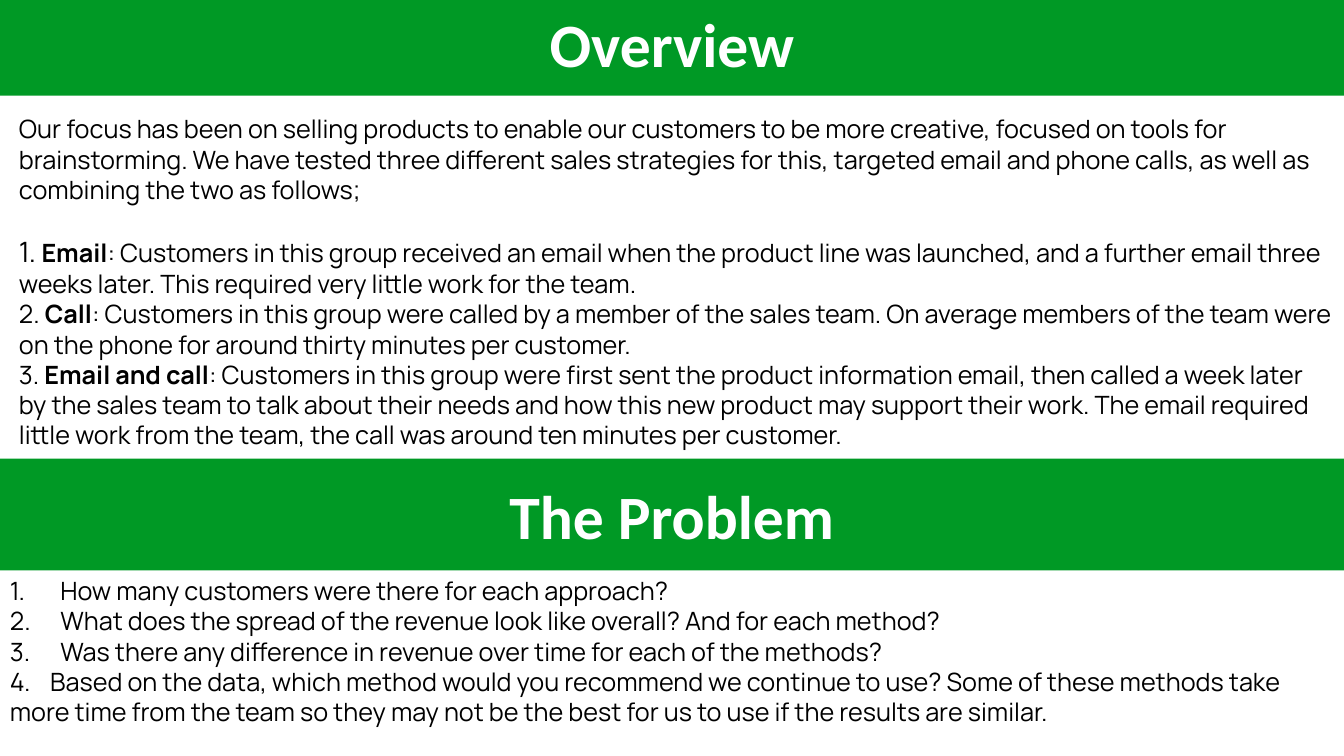
"""Build the overview and problem slide of a sales strategy report."""
from lxml import etree
from pptx import Presentation
from pptx.dml.color import RGBColor
from pptx.enum.shapes import MSO_SHAPE
from pptx.enum.text import MSO_ANCHOR, PP_ALIGN
from pptx.oxml.ns import qn
from pptx.util import Inches, Pt

RECT = MSO_SHAPE.RECTANGLE
MIDDLE = MSO_ANCHOR.MIDDLE
CENTER = PP_ALIGN.CENTER
GREEN = RGBColor(0x00, 0x99, 0x25)
WHITE = RGBColor(0xFF, 0xFF, 0xFF)
BLACK = RGBColor(0x00, 0x00, 0x00)
HEADING = {"name": "Calibri", "size": Pt(44), "bold": True}
BODY = {"name": "Manrope", "size": Pt(18), "bold": False}
STRONG = {**BODY, "bold": True}
LARGE = {**BODY, "size": Pt(20)}

INTRO = (
    "Our focus has been on selling products to enable our customers to be more "
    "creative, focused on tools for brainstorming. We have tested three different "
    "sales strategies for this, targeted email and phone calls, as well as "
    "combining the two as follows;"
)
STRATEGIES = [
    ("Email", "Customers in this group received an email when the product line was "
     "launched, and a further email three weeks later. This required very little "
     "work for the team."),
    ("Call", "Customers in this group were called by a member of the sales team. On "
     "average members of the team were on the phone for around thirty minutes per "
     "customer."),
    ("Email and call", "Customers in this group were first sent the product "
     "information email, then called a week later by the sales team to talk about "
     "their needs and how this new product may support their work. The email "
     "required little work from the team, the call was around ten minutes per "
     "customer."),
]
QUESTIONS = [
    "How many customers were there for each approach?",
    "What does the spread of the revenue look like overall? And for each method?",
    "Was there any difference in revenue over time for each of the methods?",
]
LAST_QUESTION = (
    "4.\tBased on the data, which method would you recommend we continue to use? "
    "Some of these methods take more time from the team so they may not be the best "
    "for us to use if the results are similar."
)


def add_run(p, text, style, color=BLACK):
    """Append a run with the given font values."""
    r = p.add_run()
    r.text = text
    r.font.color.rgb = color
    for name, value in style.items():
        setattr(r.font, name, value)


def add_banner(s, text, top, height, line_spacing=1.0):
    """Draw a full-width green band with a centred heading."""
    sp = s.shapes.add_shape(RECT, 0, Inches(top), Inches(13.33), Inches(height))
    sp.shadow.inherit = False
    sp.fill.solid()
    sp.fill.fore_color.rgb = GREEN
    sp.line.fill.background()
    tf = sp.text_frame
    tf.vertical_anchor = MIDDLE
    for side in ("left", "right", "top", "bottom"):
        setattr(tf, f"margin_{side}", Inches(0.07))
    p = tf.paragraphs[0]
    p.alignment = CENTER
    p.line_spacing = line_spacing
    add_run(p, text, HEADING, WHITE)


def add_text_box(s, left, top, width, height):
    """Add a wrapping text box and return its text frame."""
    box = (Inches(v) for v in (left, top, width, height))
    tf = s.shapes.add_textbox(*box).text_frame
    tf.word_wrap = True
    return tf


def set_numbered(p):
    """Give a paragraph automatic numbering with a hanging indent."""
    pPr = p._p.get_or_add_pPr()
    pPr.set("marL", str(Inches(0.5)))
    pPr.set("indent", str(-Inches(0.5)))
    etree.SubElement(pPr, qn("a:buAutoNum"), type="arabicPeriod")


def set_tab(p, position):
    """Set one left tab stop on a paragraph."""
    tabs = etree.SubElement(p._p.get_or_add_pPr(), qn("a:tabLst"))
    etree.SubElement(tabs, qn("a:tab"), pos=str(Inches(position)), algn="l")


def add_overview(s):
    """Write the introduction and the three sales strategies."""
    tf = add_text_box(s, 0.09, 1.08, 13.24, 3.47)
    p = tf.paragraphs[0]
    p.space_after = Pt(21.6)
    add_run(p, INTRO, BODY)
    for number, (name, detail) in enumerate(STRATEGIES, 1):
        p = tf.add_paragraph()
        add_run(p, f"{number}. ", LARGE if number == 1 else BODY)
        add_run(p, name, STRONG)
        add_run(p, f": {detail}", BODY)


def add_questions(s):
    """Write the numbered questions and the closing one."""
    tf = add_text_box(s, 0, 5.66, 13.33, 1.62)
    p = tf.paragraphs[0]
    for question in QUESTIONS:
        set_numbered(p)
        add_run(p, question, BODY)
        p = tf.add_paragraph()
    set_tab(p, 0.4)
    add_run(p, LAST_QUESTION, BODY)


def main():
    """Build and save the slide."""
    prs = Presentation()
    prs.slide_width, prs.slide_height = Inches(13.33), Inches(7.5)
    s = prs.slides.add_slide(prs.slide_layouts[6])
    add_banner(s, "Overview", 0, 0.95, 0.9)
    add_overview(s)
    add_banner(s, "The Problem", 4.55, 1.11)
    add_questions(s)
    prs.save("out.pptx")


main()
